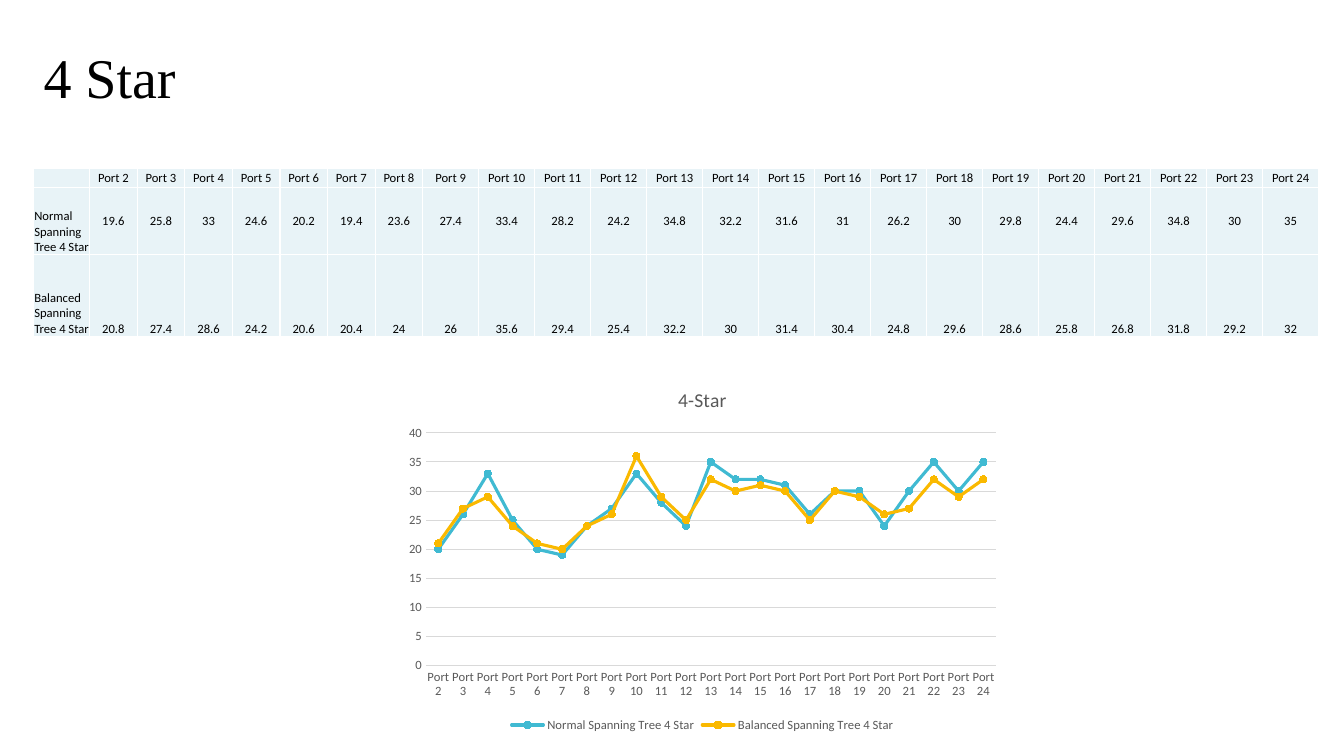
from dataclasses import dataclass

from lxml import etree
from pptx import Presentation
from pptx import util as u
from pptx.chart.data import CategoryChartData
from pptx.dml.color import RGBColor
from pptx.enum import chart as ch
from pptx.enum import text
from pptx.oxml.ns import qn

PX = 6350  # EMU per px, 144 px to the inch
BLACK = RGBColor(0x00, 0x00, 0x00)
GRAY = RGBColor(0x59, 0x59, 0x59)
GRID_GRAY = RGBColor(0xD9, 0xD9, 0xD9)
CELL_FILL = RGBColor(0xE8, 0xF3, 0xF7)
BORDER = RGBColor(0xFF, 0xFF, 0xFF)
TEAL = RGBColor(0x40, 0xBA, 0xD2)
AMBER = RGBColor(0xFA, 0xB9, 0x00)
BODY_FONT = "Calibri"
TITLE_FONT = "Times New Roman"


@dataclass(frozen=True)
class Box:
    left: int
    top: int
    width: int
    height: int

    def emu(self) -> tuple[int, int, int, int]:
        return tuple(px(v) for v in (self.left, self.top, self.width, self.height))


@dataclass(frozen=True)
class Tree:
    name: str
    values: list[float]
    color: RGBColor
    row_height: int
    anchor: text.MSO_ANCHOR


PORTS = [f"Port {number}" for number in range(2, 25)]
TREES = [
    Tree("Normal Spanning Tree 4 Star",
         [19.6, 25.8, 33, 24.6, 20.2, 19.4, 23.6, 27.4, 33.4, 28.2, 24.2, 34.8,
          32.2, 31.6, 31, 26.2, 30, 29.8, 24.4, 29.6, 34.8, 30, 35],
         TEAL, 96, text.MSO_ANCHOR.MIDDLE),
    Tree("Balanced Spanning Tree 4 Star",
         [20.8, 27.4, 28.6, 24.2, 20.6, 20.4, 24, 26, 35.6, 29.4, 25.4, 32.2,
          30, 31.4, 30.4, 24.8, 29.6, 28.6, 25.8, 26.8, 31.8, 29.2, 32],
         AMBER, 117, text.MSO_ANCHOR.BOTTOM),
]
HEADER_HEIGHT = 27
WIDE, NARROW = 80, 68
COLUMN_WIDTHS = [WIDE] + [NARROW] * 7 + [WIDE] * 16
TITLE_BOX = Box(48, 54, 220, 111)
TABLE_BOX = Box(48, 241, sum(COLUMN_WIDTHS),
                HEADER_HEIGHT + sum(tree.row_height for tree in TREES))
CHART_BOX = Box(567, 528, 873, 524)


def px(value: int) -> int:
    return u.Emu(value * PX)


def set_font(font, size: float, color: RGBColor, name: str = BODY_FONT) -> None:
    font.size = u.Pt(size)
    font.name = name
    font.bold = False
    font.color.rgb = color


def add_title(slide, box: Box, title: str) -> None:
    frame = slide.shapes.add_textbox(*box.emu()).text_frame
    frame.word_wrap = False
    frame.auto_size = text.MSO_AUTO_SIZE.SHAPE_TO_FIT_TEXT
    frame.text = title
    set_font(frame.paragraphs[0].runs[0].font, 40, BLACK, TITLE_FONT)


def set_borders(cell) -> None:
    properties = cell._tc.get_or_add_tcPr()
    for side in ("a:lnL", "a:lnR", "a:lnT", "a:lnB"):
        line = etree.SubElement(properties, qn(side), w=str(u.Pt(1)))
        fill = etree.SubElement(line, qn("a:solidFill"))
        etree.SubElement(fill, qn("a:srgbClr"), val=str(BORDER))


def fill_cell(cell, content: str, anchor: text.MSO_ANCHOR, align: text.PP_ALIGN) -> None:
    set_borders(cell)
    cell.fill.solid()
    cell.fill.fore_color.rgb = CELL_FILL
    cell.margin_left = cell.margin_right = cell.margin_top = px(1)
    cell.margin_bottom = 0
    cell.vertical_anchor = anchor
    paragraph = cell.text_frame.paragraphs[0]
    paragraph.text = content
    paragraph.alignment = align
    for run in paragraph.runs:
        set_font(run.font, 9, BLACK)
    if not content:  # keeps the empty corner as low as its row
        etree.SubElement(paragraph._p, qn("a:endParaRPr"), sz="900")


def add_port_table(slide, box: Box) -> None:
    rows = [("", PORTS, HEADER_HEIGHT, text.MSO_ANCHOR.MIDDLE)]
    rows += [(t.name, [str(v) for v in t.values], t.row_height, t.anchor) for t in TREES]
    table = slide.shapes.add_table(len(rows), len(COLUMN_WIDTHS), *box.emu()).table
    table.first_row = table.horz_banding = False
    for column, width in zip(table.columns, COLUMN_WIDTHS):
        column.width = px(width)
    for r, (label, entries, height, anchor) in enumerate(rows):
        table.rows[r].height = px(height)
        fill_cell(table.cell(r, 0), label, text.MSO_ANCHOR.BOTTOM, text.PP_ALIGN.LEFT)
        for c, entry in enumerate(entries, start=1):
            fill_cell(table.cell(r, c), entry, anchor, text.PP_ALIGN.CENTER)


def style_line(line, color: RGBColor, width: float) -> None:
    line.color.rgb = color
    line.width = u.Pt(width)


def add_port_chart(slide, box: Box) -> None:
    data = CategoryChartData()
    data.categories = PORTS
    for tree in TREES:
        data.add_series(tree.name, [round(value) for value in tree.values])
    chart = slide.shapes.add_chart(ch.XL_CHART_TYPE.LINE_MARKERS, *box.emu(), data).chart
    set_font(chart.font, 10, BLACK)

    # Title and legend
    title = chart.chart_title
    title.text_frame.text = "4-Star"
    set_font(title.text_frame.paragraphs[0].runs[0].font, 14, GRAY)
    title.include_in_layout = False
    chart.has_legend = True
    chart.legend.position = ch.XL_LEGEND_POSITION.BOTTOM
    chart.legend.include_in_layout = False
    set_font(chart.legend.font, 9, GRAY)

    # Axes
    for axis in (chart.category_axis, chart.value_axis):
        axis.major_tick_mark = axis.minor_tick_mark = ch.XL_TICK_MARK.NONE
        set_font(axis.tick_labels.font, 9, GRAY)
    style_line(chart.category_axis.format.line, GRID_GRAY, 0.75)
    values = chart.value_axis
    values.format.line.fill.background()
    values.minimum_scale, values.maximum_scale, values.major_unit = 0, 40, 5
    style_line(values.major_gridlines.format.line, GRID_GRAY, 0.75)

    # Series, with round line ends
    plot = chart.plots[0]
    plot.vary_by_categories = False
    for series, tree in zip(plot.series, TREES):
        series.smooth = False
        style_line(series.format.line, tree.color, 2.25)
        series.format.line._ln.set("cap", "rnd")
        marker = series.marker
        marker.style = ch.XL_MARKER_STYLE.CIRCLE
        marker.size = 5
        marker.format.fill.solid()
        marker.format.fill.fore_color.rgb = tree.color
        style_line(marker.format.line, tree.color, 0.75)


def main() -> None:
    presentation = Presentation()
    presentation.slide_width, presentation.slide_height = px(1920), px(1080)
    slide = presentation.slides.add_slide(presentation.slide_layouts[6])
    add_port_table(slide, TABLE_BOX)
    add_port_chart(slide, CHART_BOX)
    add_title(slide, TITLE_BOX, "4 Star")
    presentation.save("out.pptx")


if __name__ == "__main__":
    main()
